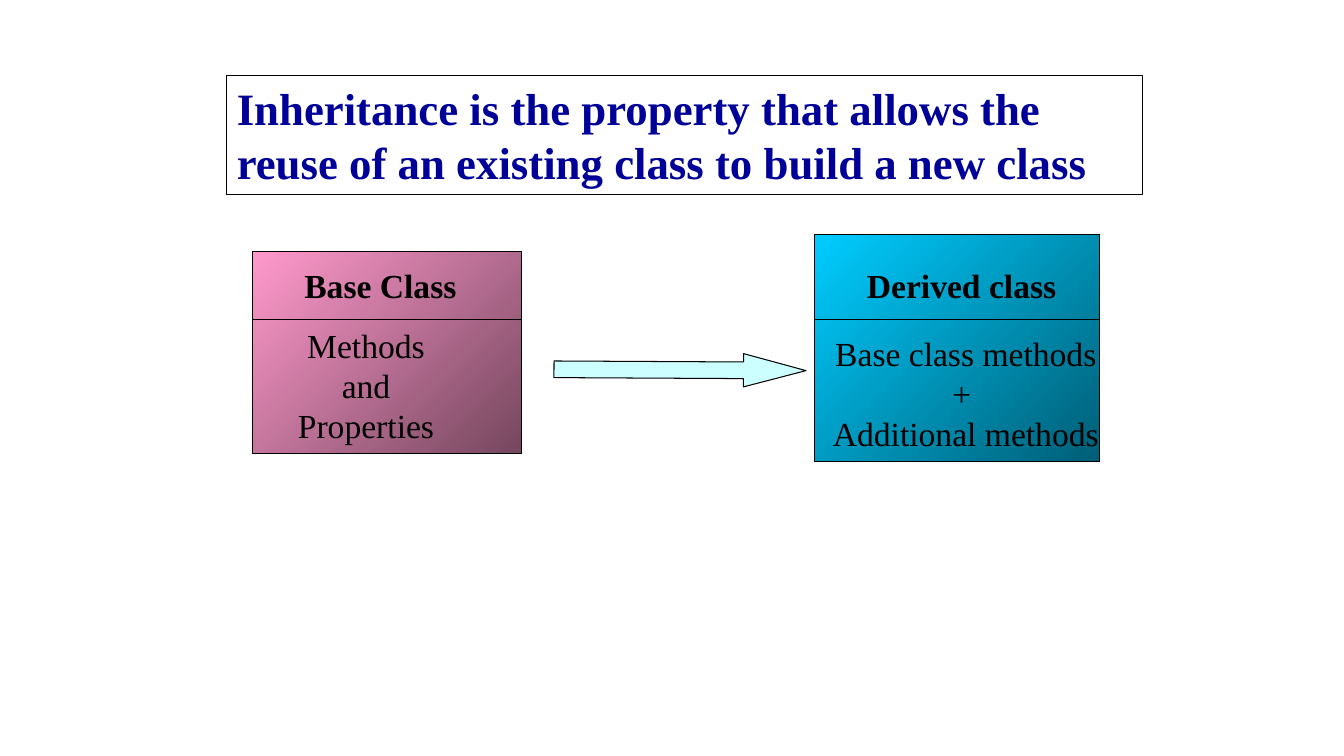
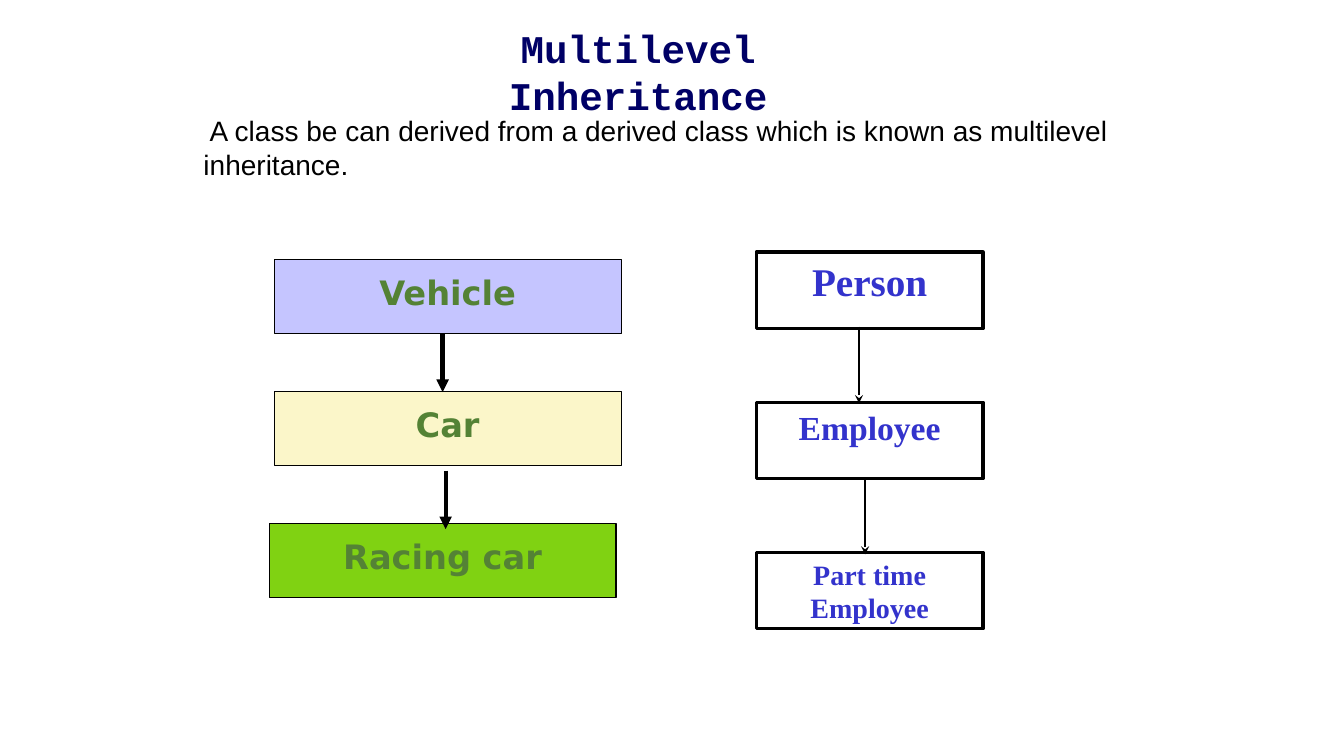
"""Build two slides about class inheritance."""
from lxml.etree import SubElement
from pptx import Presentation
from pptx.dml.color import RGBColor
from pptx.enum.shapes import MSO_CONNECTOR as Connector, MSO_SHAPE as Shape
from pptx.enum.text import MSO_ANCHOR as Anchor, PP_ALIGN as Align
from pptx.oxml.ns import qn
from pptx.util import Inches, Pt

COLORS = {
    "black": "000000", "white": "FFFFFF", "statement": "000099", "title": "000066",
    "pink": "FF99CC", "plum": "76475E", "sky": "00CCFF", "teal": "005E76",
    "arrow": "CCFFFF", "lilac": "C5C5FF", "cream": "FBF6C9", "lime": "80D212",
    "vehicle": "548235", "person": "3333CC",
}
SERIF = "Times New Roman"


def color(name):
    return RGBColor.from_string(COLORS[name])


def write(shape, lines, size, font, ink, bold=False, align=Align.LEFT,
          anchor=Anchor.TOP, insets=(0.1, 0.05, 0.1, 0.05)):
    frame = shape.text_frame
    frame.word_wrap = True
    frame.vertical_anchor = anchor
    (frame.margin_left, frame.margin_top,
     frame.margin_right, frame.margin_bottom) = map(Inches, insets)
    paragraph = frame.paragraphs[0]
    paragraph.alignment = align
    for index, line in enumerate(lines):
        if index:
            paragraph.add_line_break()
        run = paragraph.add_run()
        run.text = line
        run.font.size = Pt(size)
        run.font.name = font
        run.font.bold = bold
        run.font.color.rgb = color(ink)


def add_text(slide, place, lines, size, font, ink, **style):
    box = slide.shapes.add_textbox(*map(Inches, place))
    write(box, lines, size, font, ink, **style)


def add_box(slide, place, fill=None, width=0.75, kind=Shape.RECTANGLE):
    box = slide.shapes.add_shape(kind, *map(Inches, place))
    box.shadow.inherit = False
    box.line.color.rgb = color("black")
    box.line.width = Pt(width)
    if fill is None:
        box.fill.background()
    elif isinstance(fill, tuple):
        box.fill.gradient()
        box.fill.gradient_angle = 315
        for stop, name in zip(box.fill.gradient_stops, fill):
            stop.color.rgb = color(name)
    else:
        box.fill.solid()
        box.fill.fore_color.rgb = color(fill)
    return box


def add_line(slide, start, end, width=0.75, head=None):
    line = slide.shapes.add_connector(Connector.STRAIGHT, *map(Inches, start + end))
    line.line.color.rgb = color("black")
    line.line.width = Pt(width)
    if head:
        SubElement(line.line._get_or_add_ln(), qn("a:tailEnd"), type=head)
    SubElement(line._element.spPr, qn("a:effectLst"))


def add_class(slide, place, fill, name, name_place, members, members_place):
    divider = 3.17
    left, _, width, _ = place
    add_box(slide, place, fill)
    add_line(slide, (left, divider), (left + width, divider))
    add_text(slide, name_place, [name], 24, SERIF, "black", bold=True)
    add_text(slide, members_place, members, 24, SERIF, "black", align=Align.CENTER)


def build_inheritance(slide):
    statement = add_box(slide, (2.25, 0.75, 9.08, 1.18))
    write(statement, ["Inheritance is the property that allows the reuse of an "
                      "existing class to build a new class"],
          32, SERIF, "statement", bold=True)
    add_class(slide, (2.5, 2.5, 2.67, 2), ("pink", "plum"),
              "Base Class", (2.92, 2.58, 2, 0.5),
              ["Methods", "and Properties"], (2.67, 3.17, 1.92, 1.31))
    add_class(slide, (8.08, 2.33, 2.83, 2.25), ("sky", "teal"),
              "Derived class", (8.5, 2.58, 2.17, 0.5),
              ["Base class methods + ", "Additional methods"], (8.08, 3.25, 3, 1.31))
    arrow = add_box(slide, (6.58, 2.42, 0.33, 2.5), "arrow", kind=Shape.DOWN_ARROW)
    arrow.adjustments[0] = 0.5
    arrow.adjustments[1] = 1.88
    arrow.rotation = 270.3


def build_multilevel(slide):
    add_text(slide, (4.08, 0.42, 4.5, 0.57), ["Multilevel Inheritance"], 28,
             "Courier New", "title", bold=True, align=Align.CENTER, anchor=Anchor.MIDDLE)
    add_text(slide, (1.92, 1.08, 9.33, 0.77),
             [" A class be can derived from a derived class which is known as "
              "multilevel inheritance."], 20, "Arial", "black")

    vehicles = [("Vehicle", 2.72, "lilac"), ("Car", 2.72, "cream"),
                ("Racing car", 2.67, "lime")]
    for level, (name, left, fill) in enumerate(vehicles):
        box = add_box(slide, (left, 2.57 + 1.31 * level, 3.44, 0.74), fill)
        write(box, [name], 24, "DejaVu Sans", "vehicle", bold=True, align=Align.CENTER,
              anchor=Anchor.MIDDLE, insets=(0.07, 0.04, 0.07, 0.12))
    for x, top in ((4.39, 3.31), (4.42, 4.67)):
        add_line(slide, (x, top), (x, top + 0.58), 3, "triangle")

    people = [("Person", 28), ("Employee", 24), ("Part time Employee", 20)]
    for level, (name, size) in enumerate(people):
        box = add_box(slide, (7.5, 2.5 + 1.49 * level, 2.25, 0.76), "white", 2.25)
        write(box, [name], size, SERIF, "person", bold=True, align=Align.CENTER)
    for x, top in ((8.52, 3.24), (8.58, 4.74)):
        add_line(slide, (x, top), (x, top + 0.76), 1, "stealth")


def main():
    presentation = Presentation()
    presentation.slide_width = Inches(13.33)
    presentation.slide_height = Inches(7.5)
    for build in (build_inheritance, build_multilevel):
        build(presentation.slides.add_slide(presentation.slide_layouts[6]))
    presentation.save("out.pptx")


if __name__ == "__main__":
    main()
